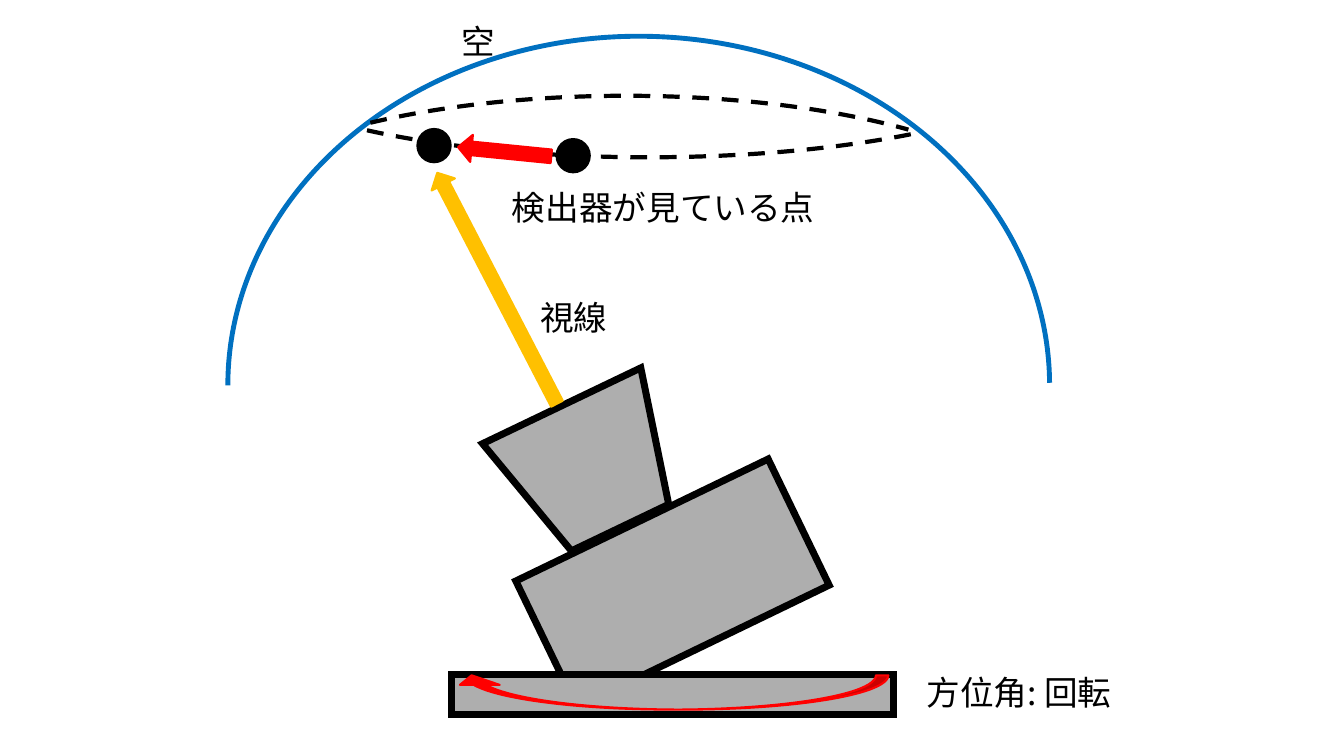
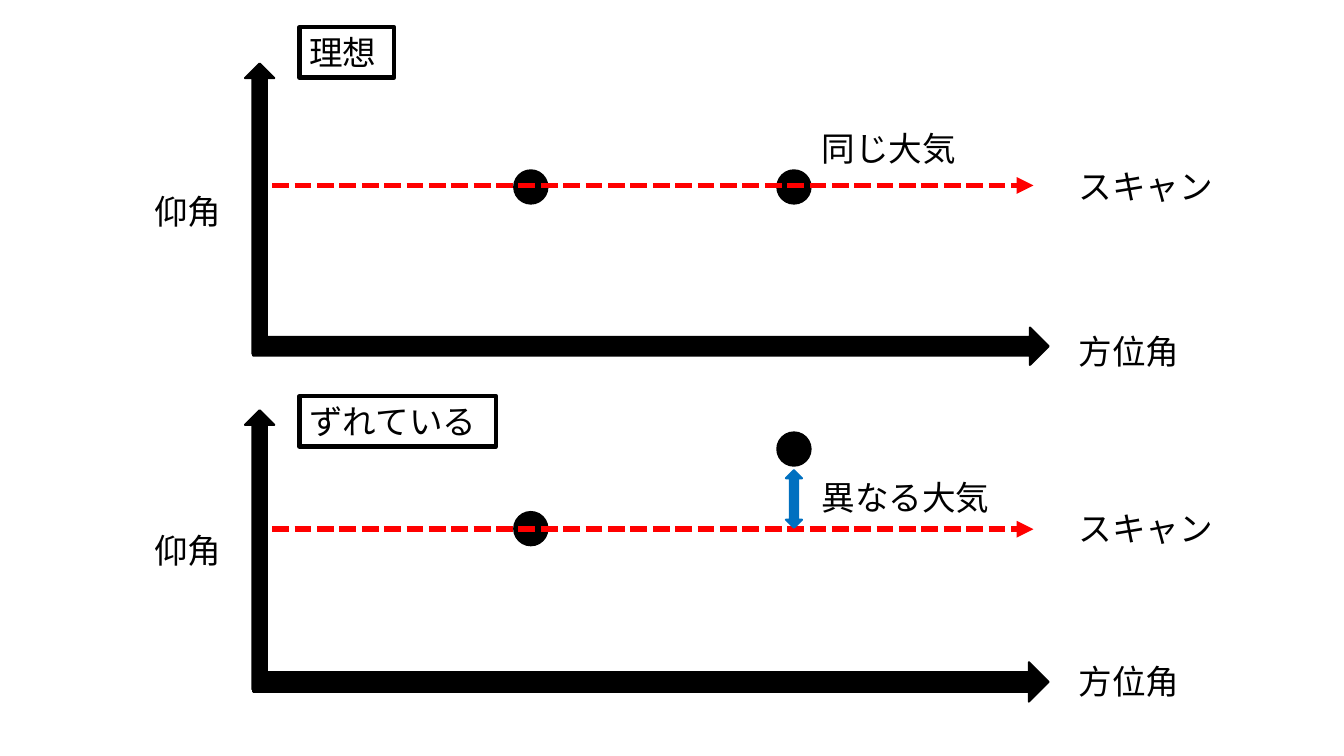
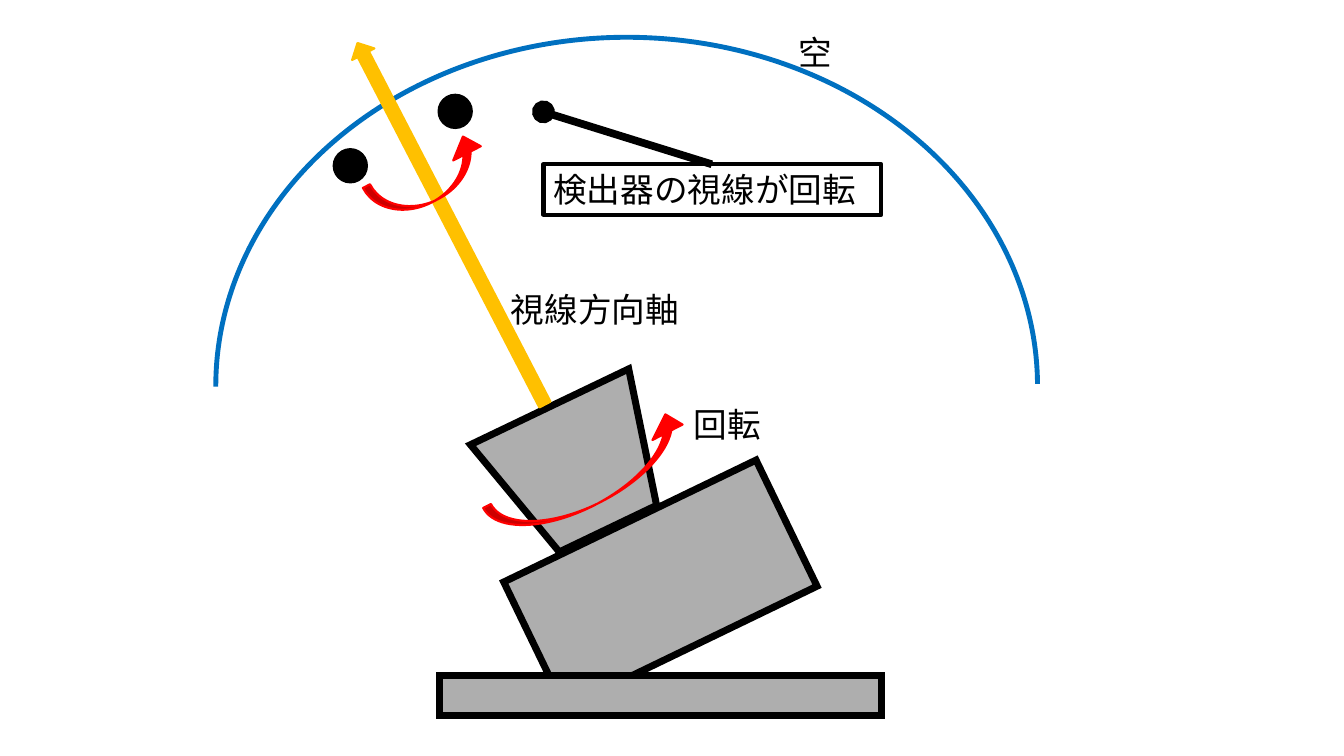
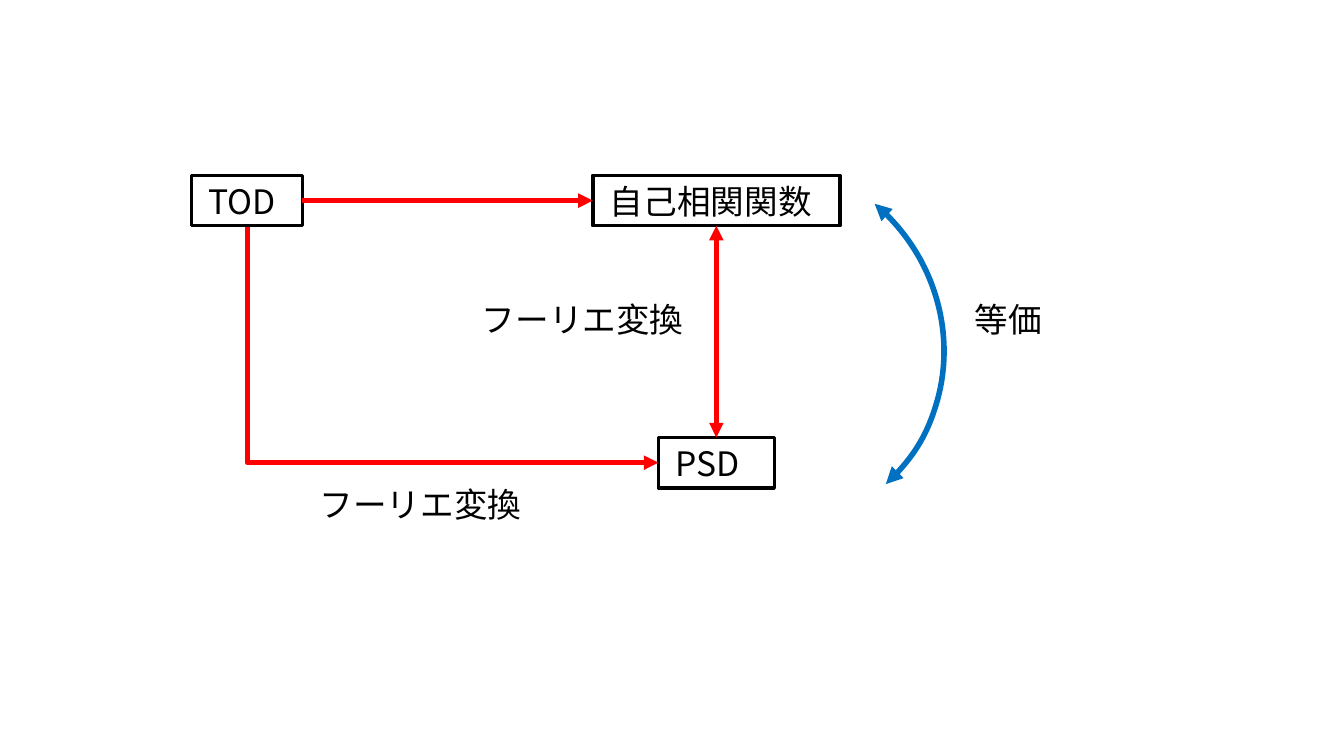
import pptx
import pptx.dml.color
import pptx.enum.dml
import pptx.enum.shapes
import pptx.enum.text
import pptx.oxml.ns
import pptx.util
from lxml import etree

RGB = pptx.dml.color.RGBColor
SHAPE = pptx.enum.shapes.MSO_SHAPE
CONNECTOR = pptx.enum.shapes.MSO_CONNECTOR
DASH = pptx.enum.dml.MSO_LINE
ANCHOR = pptx.enum.text.MSO_ANCHOR

BLACK = RGB(0x00, 0x00, 0x00)
WHITE = RGB(0xFF, 0xFF, 0xFF)
GRAY = RGB(0xAE, 0xAE, 0xAE)
RED = RGB(0xFF, 0x00, 0x00)
BLUE = RGB(0x00, 0x70, 0xC0)
GOLD = RGB(0xFF, 0xC0, 0x00)

FONT = "Noto Sans CJK JP"
FONT_SIZE = 24
CELL = pptx.util.Inches(1)  # square grid, 13.33 columns by 7.5 rows
COLS, ROWS = 13.33, 7.5
LABEL_H = 0.5
DOT = 0.33
INDENT = 0.17  # left inset of the flow chart's texts


def grid(*cells):
    return [int(n * CELL) for n in cells]


def add_xml(parent, tag, **attrs):
    return etree.SubElement(parent, pptx.oxml.ns.qn(tag), **attrs)


def style_line(line, color, width, dash=None, miter=False, head=None, tail=None):
    line.color.rgb = color
    line.width = pptx.util.Pt(width)
    if dash:
        line.dash_style = dash
    ln = line.fill._xPr
    if miter:
        add_xml(ln, "a:miter", lim="800000")
    for tag, end in (("a:headEnd", head), ("a:tailEnd", tail)):
        if end:
            add_xml(ln, tag, type=end)


def add_shape(s, kind, at, fill=None, line=None, width=1.5, rot=0, flip="",
              adj=(), **line_style):
    """Preset shape; fill or line left out means none."""
    sp = s.shapes.add_shape(kind, *grid(*at))
    sp.shadow.inherit = False
    sp.rotation = rot
    for i, value in enumerate(adj):
        sp.adjustments[i] = value
    for axis in flip:
        sp._element.spPr.xfrm.set("flip" + axis, "1")
    if fill is None:
        sp.fill.background()
    else:
        sp.fill.solid()
        sp.fill.fore_color.rgb = fill
    if line is None:
        sp.line.fill.background()
    else:
        style_line(sp.line, line, width, **line_style)
    return sp


def add_solid(s, kind, at, color, **kwargs):
    return add_shape(s, kind, at, color, color, **kwargs)


def add_dot(s, x, y):
    add_solid(s, SHAPE.OVAL, (x, y, DOT, DOT), BLACK)


def set_text(sp, text, inset=0.1):
    tf = sp.text_frame
    tf.word_wrap = True
    tf.vertical_anchor = ANCHOR.MIDDLE
    tf.margin_left, tf.margin_right = grid(inset, 0)
    tf.margin_top = tf.margin_bottom = 0
    p = tf.paragraphs[0]
    p.alignment = pptx.enum.text.PP_ALIGN.LEFT
    r = p.add_run()
    r.text = text
    r.font.size = pptx.util.Pt(FONT_SIZE)
    r.font.color.rgb = BLACK
    r.font.name = FONT
    add_xml(r.font._element, "a:ea", typeface=FONT)


def add_label(s, text, x, y, w, inset=0.1):
    set_text(s.shapes.add_textbox(*grid(x, y, w, LABEL_H)), text, inset)


def add_frame(s, text, x, y, w, width=3, fill=None, inset=0.1):
    sp = add_shape(s, SHAPE.RECTANGLE, (x, y, w, LABEL_H), fill, BLACK, width)
    set_text(sp, text, inset)
    return sp


def add_line(s, ends, color, width, kind=CONNECTOR.STRAIGHT, **line_style):
    cx = s.shapes.add_connector(kind, *grid(*ends))
    style_line(cx.line, color, width, **line_style)
    add_xml(cx._element.spPr, "a:effectLst")
    return cx


def join(cx, start, start_site, end, end_site):
    cx.begin_connect(start, start_site)
    cx.end_connect(end, end_site)


def add_telescope(s, dx=0, dy=0):
    """Tilted telescope on its base, under the dome of the sky."""
    for kind, (x, y, w, h), rot in (
            (SHAPE.TRAPEZOID, (4.99, 3.96, 1.74, 1.34), 154.4),
            (SHAPE.RECTANGLE, (5.28, 5.09, 2.78, 1.39), 334.2),
            (SHAPE.RECTANGLE, (4.48, 6.69, 4.38, 0.4), 0)):
        add_shape(s, kind, (x + dx, y + dy, w, h), GRAY, BLACK, 5, rot, miter=True)
    add_shape(s, SHAPE.ARC, (2.26 + dx, 0.36 + dy, 8.15, 6.92), None, BLUE, 3.5,
              adj=(107.96, 215.81))


def azimuth_slide(s):
    # Far side of the scan circle
    add_shape(s, SHAPE.ARC, (2.18, -0.62, 8.5, 2.18), None, BLACK, 3, 180,
              adj=(118.99, 206.21), dash=DASH.DASH)
    add_telescope(s)
    # Rotation of the base
    add_solid(s, SHAPE.CURVED_UP_ARROW, (4.48, 6.7, 4.33, 0.34), RED, rot=180,
              flip="V", adj=(0.36, 1.16, 0.28))
    add_label(s, "方位角: 回転", 9.09, 6.62, 2.41)
    add_label(s, "空", 4.48, 0.16, 0.57)
    # Line of sight and observed points
    add_dot(s, 4.14, 1.28)
    add_solid(s, SHAPE.DOWN_ARROW, (4.8, 1.57, 0.26, 2.58), GOLD, rot=152.6)
    add_shape(s, SHAPE.ARC, (1.96, 0.95, 8.5, 2.71), None, BLACK, 3,
              adj=(121.92, 204), dash=DASH.DASH)
    add_dot(s, 5.52, 1.38)
    add_label(s, "視線", 5.26, 2.9, 1.16)
    add_label(s, "検出器が見ている点", 4.98, 1.8, 3.83)
    add_solid(s, SHAPE.DOWN_ARROW, (4.87, 1.04, 0.27, 0.93), RED, rot=95.7)


def add_scan_panel(s, title, title_y, title_w, axis_top, axis_len, azimuth_y,
                   azimuth_h, scan_y, dots, labels):
    """Axes with a dashed scan line; labels holds each label's row."""
    add_solid(s, SHAPE.RIGHT_ARROW, (2.51, azimuth_y, 7.89, azimuth_h), BLACK)
    axis_h = 0.29
    add_solid(s, SHAPE.RIGHT_ARROW,
              (2.575 - axis_len / 2, axis_top + (axis_len - axis_h) / 2,
               axis_len, axis_h), BLACK, rot=270)
    for (text, x, w), y in zip((("仰角", 1.43, 1.28), ("方位角", 10.6, 1.28),
                                ("スキャン", 10.6, 1.66)), labels):
        add_label(s, text, x, y, w)
    for x, y in dots:
        add_dot(s, x, y)
    add_line(s, (2.7, scan_y, 10.25, scan_y), RED, 4, dash=DASH.SQUARE_DOT,
             tail="triangle")
    add_frame(s, title, 2.97, title_y, title_w)


def scan_slide(s):
    first, second = 5.1, 7.71
    add_scan_panel(s, "理想", 0.27, 0.94, 0.63, 2.88, 3.25, 0.37, 1.84,
                   ((first, 1.69), (second, 1.69)), (1.84, 3.23, 1.6))
    add_scan_panel(s, "ずれている", 3.93, 1.95, 4.07, 2.77, 6.57, 0.39, 5.25,
                   ((second, 4.29), (first, 5.08)), (5.21, 6.51, 4.99))
    # Offset between scan line and shifted point
    add_solid(s, SHAPE.LEFT_RIGHT_ARROW, (7.59, 4.87, 0.57, 0.16), BLUE, rot=270)
    add_label(s, "異なる大気", 8.05, 4.68, 2.03)
    add_label(s, "同じ大気", 8.05, 1.22, 2.03)


def boresight_slide(s):
    add_telescope(s, -0.12, 0.01)
    add_label(s, "空", 7.82, 0.27, 0.57)
    # Axis between two rotating points
    add_dot(s, 3.31, 1.48)
    add_solid(s, SHAPE.DOWN_ARROW, (4.35, 0.2, 0.25, 4.04), GOLD, rot=152.6)
    add_dot(s, 4.35, 0.94)
    add_label(s, "視線方向軸", 4.97, 2.82, 1.97)
    add_label(s, "回転", 6.78, 3.96, 1.04)
    for at, head in (((4.78, 4.51, 2.2, 0.48), 0.35), ((3.63, 1.55, 1.27, 0.44), 0.38)):
        add_solid(s, SHAPE.CURVED_UP_ARROW, at, RED, rot=152.8, flip="HV",
                  adj=(0.18, 0.7, head))
    # Callout
    add_frame(s, "検出器の視線が回転", 5.39, 1.63, 3.35)
    add_line(s, (5.39, 1.11, 7.06, 1.63), BLACK, 5.5, head="oval")


def transform_slide(s):
    tod, correlation, psd = [
        add_frame(s, text, x, y, w, 2.5, WHITE, INDENT)
        for text, x, y, w in (("TOD", 1.9, 1.74, 1.1),
                              ("自己相関関数", 5.88, 1.74, 2.45),
                              ("PSD", 6.53, 4.34, 1.15))]
    # Connections: sites run top 0, left 1, bottom 2, right 3
    join(add_line(s, (3, 2, 5.88, 2), RED, 3.5, tail="triangle"),
         tod, 3, correlation, 1)
    join(add_line(s, (7.11, 2.25, 7.11, 4.34), RED, 3.5, head="triangle",
                  tail="triangle"), correlation, 2, psd, 0)
    bent = add_line(s, (2.45, 2.25, 6.53, 4.59), RED, 3.5, CONNECTOR.ELBOW,
                    tail="triangle")
    join(bent, tod, 2, psd, 1)
    # One-corner elbow, going down and then right
    bent.left, bent.top, bent.width, bent.height = grid(3.32, 1.38, 2.34, 4.08)
    sp_pr = bent._element.spPr
    sp_pr.xfrm.set("rot", str(270 * 60000))
    sp_pr.xfrm.set("flipH", "1")
    sp_pr.find(pptx.oxml.ns.qn("a:prstGeom")).set("prst", "bentConnector2")
    # Labels and equivalence arc
    for text, x, y, w in (("フーリエ変換", 3, 4.75, 2.6),
                          ("フーリエ変換", 4.61, 2.92, 2.41),
                          ("等価", 9.5, 2.92, 1.03)):
        add_label(s, text, x, y, w, INDENT)
    add_shape(s, SHAPE.ARC, (5.65, 1.61, 3.75, 3.61), None, BLUE, 4, 47.2,
              adj=(157.41, 0.33), head="triangle", tail="triangle")


def main():
    prs = pptx.Presentation()
    prs.slide_width, prs.slide_height = grid(COLS, ROWS)
    blank = prs.slide_layouts[6]
    for build in (azimuth_slide, scan_slide, boresight_slide, transform_slide):
        build(prs.slides.add_slide(blank))
    prs.save("out.pptx")


if __name__ == "__main__":
    main()
